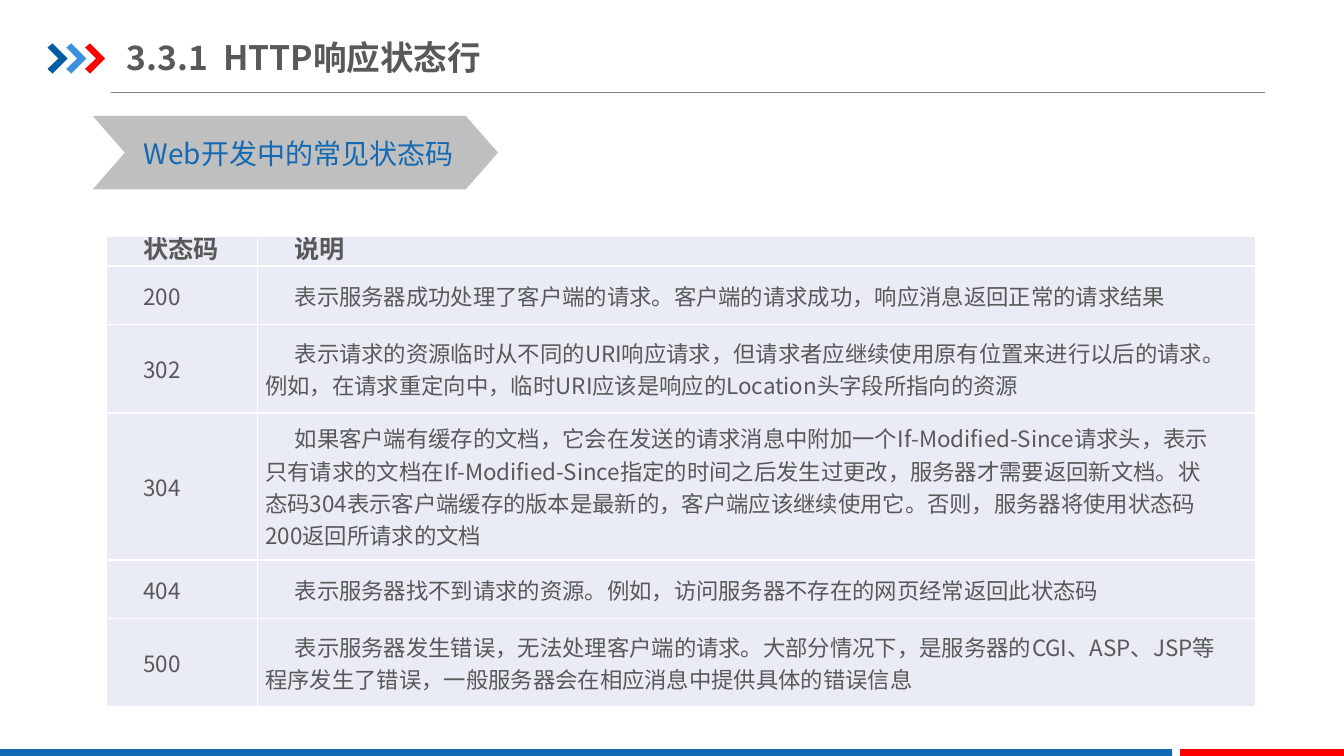
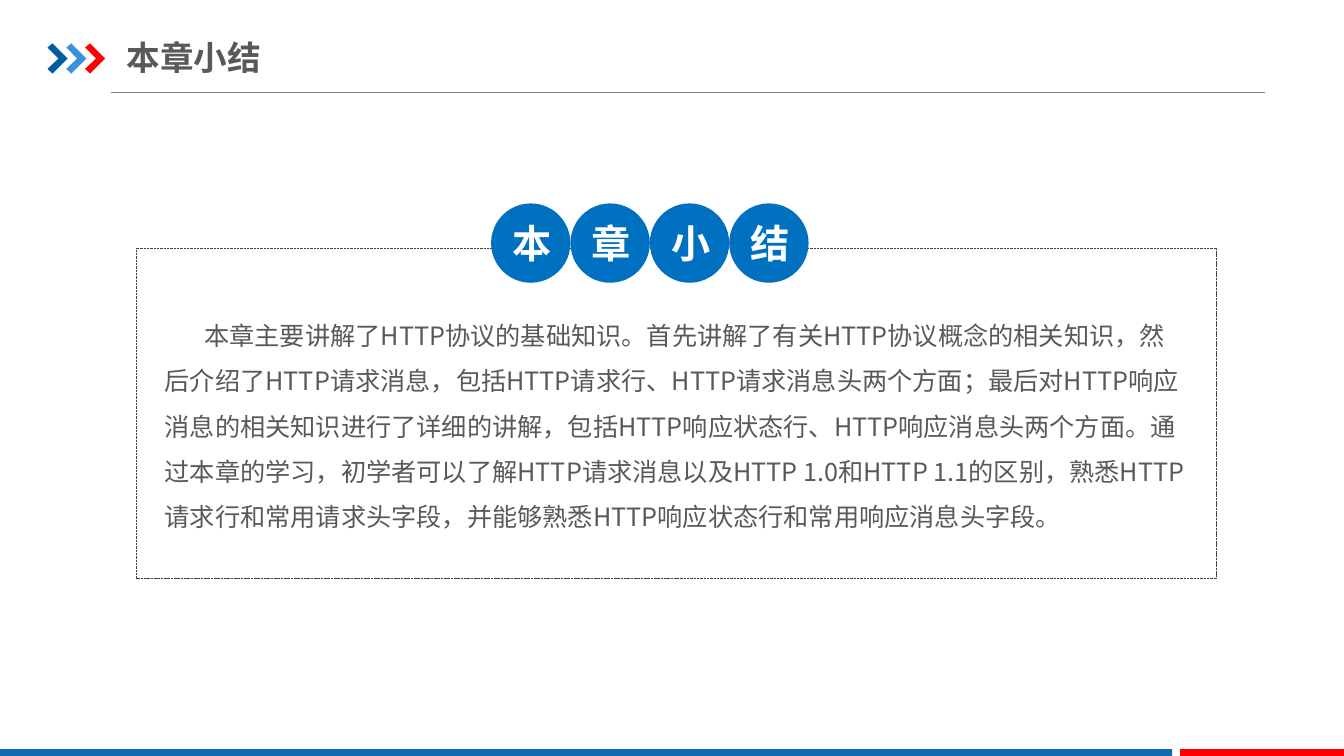
from pptx import Presentation
from pptx.dml.color import RGBColor
from pptx.enum import dml, shapes, text
from pptx.oxml import ns, xmlchemy
from pptx.util import Pt

FONT = "Noto Sans CJK SC"
COLOURS = {
    "text": "595959", "white": "FFFFFF", "blue": "1369B2", "red": "FF0000",
    "navy": "005DA2", "sky": "3992DB", "circle": "0070C0", "banner": "BFBFBF",
    "rule": "808080", "frame": "404040", "cell": "E9EBF5",
}
SHAPE = shapes.MSO_SHAPE
MIDDLE = text.MSO_ANCHOR.MIDDLE
CENTER = text.PP_ALIGN.CENTER
ARROW = [(0, 3), (3.5, 0), (14.4, 10.8), (3.5, 21.6), (0, 18.2), (7.8, 10.8)]
ROW_UNIT = 21
STATUS_ROWS = [
    (1, "状态码", "说明"),
    (2, "200", "表示服务器成功处理了客户端的请求。客户端的请求成功，响应消息返回正常的请求结果"),
    (3, "302", "表示请求的资源临时从不同的URI响应请求，但请求者应继续使用原有位置来进行以后的请求。"
               "例如，在请求重定向中，临时URI应该是响应的Location头字段所指向的资源"),
    (5, "304", "如果客户端有缓存的文档，它会在发送的请求消息中附加一个If-Modified-Since请求头，"
               "表示只有请求的文档在If-Modified-Since指定的时间之后发生过更改，服务器才需要返回新文档。"
               "状态码304表示客户端缓存的版本是最新的，客户端应该继续使用它。"
               "否则，服务器将使用状态码200返回所请求的文档"),
    (2, "404", "表示服务器找不到请求的资源。例如，访问服务器不存在的网页经常返回此状态码"),
    (3, "500", "表示服务器发生错误，无法处理客户端的请求。大部分情况下，是服务器的CGI、ASP、JSP等"
               "程序发生了错误，一般服务器会在相应消息中提供具体的错误信息"),
]
SUMMARY = (
    "本章主要讲解了HTTP协议的基础知识。首先讲解了有关HTTP协议概念的相关知识，"
    "然后介绍了HTTP请求消息，包括HTTP请求行、HTTP请求消息头两个方面；"
    "最后对HTTP响应消息的相关知识进行了详细的讲解，包括HTTP响应状态行、HTTP响应消息头两个方面。"
    "通过本章的学习，初学者可以了解HTTP请求消息以及HTTP 1.0和HTTP 1.1的区别，"
    "熟悉HTTP请求行和常用请求头字段，并能够熟悉HTTP响应状态行和常用响应消息头字段。"
)


def colour(name):
    """Return the named colour."""
    return RGBColor.from_string(COLOURS[name])


def fill_plain(shape, name):
    """Give a shape a flat fill with no line or shadow."""
    shape.shadow.inherit = False
    shape.fill.solid()
    shape.fill.fore_color.rgb = colour(name)
    shape.line.fill.background()


def add_block(page, kind, left, top, width, height, fill):
    """Add a flat preset shape."""
    block = page.shapes.add_shape(kind, Pt(left), Pt(top), Pt(width), Pt(height))
    fill_plain(block, fill)
    return block


def write(frame, words, size, name="text", bold=False, align=text.PP_ALIGN.LEFT):
    """Write one styled paragraph into a text frame."""
    frame.text = words
    para = frame.paragraphs[0]
    para.alignment = align
    para.font.name = FONT
    para.font.size = Pt(size)
    para.font.bold = bold
    para.font.color.rgb = colour(name)
    return para


def set_margins(frame, left, top, right, bottom):
    """Set the four insets of a text frame or cell."""
    frame.margin_left, frame.margin_top = Pt(left), Pt(top)
    frame.margin_right, frame.margin_bottom = Pt(right), Pt(bottom)


def indent_first_lines(shape, indent):
    """Indent the first line of every paragraph in a shape."""
    for properties in shape.element.iter(ns.qn("a:pPr")):
        properties.set("marL", "0")
        properties.set("indent", str(Pt(indent)))


def set_east_asian_font(page):
    """Use the deck font for Chinese text as well."""
    for properties in page.shapes.element.iter(ns.qn("a:defRPr")):
        add_child(properties, "a:ea").set("typeface", FONT)


def add_child(parent, tag):
    """Append a new XML element and return it."""
    child = xmlchemy.OxmlElement(tag)
    parent.append(child)
    return child


def add_arrow(page, left, top, fill):
    """Add one arrowhead of the title mark."""
    points = [(Pt(left + x), Pt(top + y)) for x, y in ARROW]
    builder = page.shapes.build_freeform(*points[0])
    builder.add_line_segments(points[1:], close=True)
    arrow = builder.convert_to_shape()
    fill_plain(arrow, fill)
    return arrow


def add_rule(page, left, right, top):
    """Add the thin line below the title."""
    rule = page.shapes.add_connector(
        shapes.MSO_CONNECTOR.STRAIGHT, Pt(left), Pt(top), Pt(right), Pt(top))
    rule.line.color.rgb = colour("rule")
    rule.line.width = Pt(0.5)
    add_child(rule.element.spPr, "a:effectLst")
    return rule


def prepare_layout(layout, page):
    """Place the title and move the shared decoration to the layout."""
    for holder in list(layout.placeholders)[1:]:
        holder.element.getparent().remove(holder.element)
    title = layout.placeholders[0]
    title.left, title.top, title.width, title.height = Pt(90.5), Pt(21), Pt(306), Pt(39.5)
    title.text_frame.vertical_anchor = MIDDLE
    set_margins(title.text_frame, 0, 5, 0, 5)
    decoration = [add_rule(page, 79.2, 903.6, 66)]
    for index, name in enumerate(("navy", "sky", "red")):
        decoration.append(add_arrow(page, 34 + 13.4 * index, 31, name))
    decoration.append(add_block(page, SHAPE.RECTANGLE, 0, 535, 837.2, 6.5, "blue"))
    decoration.append(add_block(page, SHAPE.RECTANGLE, 843, 535, 117, 6.5, "red"))
    for shape in decoration:
        layout.shapes.element.append(shape.element)


def set_title(page, words):
    """Fill the title placeholder."""
    frame = page.shapes.title.text_frame
    write(frame, words, 24, bold=True)
    frame.auto_size = text.MSO_AUTO_SIZE.NONE


def add_banner(page, words):
    """Add the chevron heading."""
    banner = add_block(page, SHAPE.CHEVRON, 66.2, 82.8, 289.5, 52.5, "banner")
    banner.adjustments[0] = 0.438
    frame = banner.text_frame
    frame.word_wrap = False
    frame.vertical_anchor = MIDDLE
    set_margins(frame, 5, 1, 0, 0)
    write(frame, words, 20, "blue", align=CENTER)


def add_borders(cell_properties):
    """Draw white borders on all sides of a cell."""
    for side in ("a:lnL", "a:lnR", "a:lnT", "a:lnB"):
        line = add_child(cell_properties, side)
        line.set("w", str(Pt(1)))
        add_child(add_child(line, "a:solidFill"), "a:srgbClr").set("val", COLOURS["white"])


def add_status_table(page):
    """Add the table of status codes."""
    height = ROW_UNIT * sum(units for units, *_ in STATUS_ROWS)
    holder = page.shapes.add_table(
        len(STATUS_ROWS), 2, Pt(76), Pt(169), Pt(821), Pt(height))
    table = holder.table
    table.first_row = table.horz_banding = False
    for column, width in zip(table.columns, (108, 713)):
        column.width = Pt(width)
    for index, (units, *words) in enumerate(STATUS_ROWS):
        header = index == 0
        table.rows[index].height = Pt(ROW_UNIT * units)
        for cell, content in zip(table.rows[index].cells, words):
            set_margins(cell, 5.5, 0, 27, 0)
            cell.vertical_anchor = text.MSO_ANCHOR.TOP if header else MIDDLE
            para = write(cell.text_frame, content, 18 if header else 16, bold=header)
            if header:
                para.line_spacing = Pt(ROW_UNIT)
    for properties in holder.element.iter(ns.qn("a:tcPr")):
        add_borders(properties)
    for cell in table.iter_cells():
        cell.fill.solid()
        cell.fill.fore_color.rgb = colour("cell")
    indent_first_lines(holder, 21)


def add_frame(page):
    """Add the dashed frame around the summary."""
    frame = add_block(page, SHAPE.RECTANGLE, 97.3, 177.5, 771.3, 235.5, "white")
    frame.fill.background()
    frame.line.color.rgb = colour("frame")
    frame.line.width = Pt(0.25)
    frame.line.dash_style = dml.MSO_LINE.SQUARE_DOT


def add_circles(page, letters):
    """Add a row of touching circles with one letter each."""
    size = 56.7
    for index, letter in enumerate(letters):
        circle = add_block(page, SHAPE.OVAL, 350.8 + size * index, 145.3, size, size, "circle")
        circle.text_frame.vertical_anchor = MIDDLE
        set_margins(circle.text_frame, 2, 0, 0, 0)
        write(circle.text_frame, letter, 28, "white", True, CENTER)


def add_summary(page, words):
    """Add the summary paragraph."""
    box = page.shapes.add_textbox(Pt(108.3), Pt(213), Pt(748), Pt(173.5))
    box.text_frame.word_wrap = True
    set_margins(box.text_frame, 9.4, 5, 9.4, 5)
    write(box.text_frame, words, 18).line_spacing = 1.5
    indent_first_lines(box, 28.3)


def main():
    """Build and save the deck."""
    deck = Presentation()
    deck.slide_width, deck.slide_height = Pt(960), Pt(540)
    layout = deck.slide_layouts.get_by_name("Title Only")

    status = deck.slides.add_slide(layout)
    prepare_layout(layout, status)
    set_title(status, "3.3.1  HTTP响应状态行")
    add_banner(status, "Web开发中的常见状态码")
    add_status_table(status)

    closing = deck.slides.add_slide(layout)
    set_title(closing, "本章小结")
    add_frame(closing)
    add_circles(closing, "本章小结")
    add_summary(closing, SUMMARY)

    for page in deck.slides:
        set_east_asian_font(page)
    deck.save("out.pptx")


if __name__ == "__main__":
    main()
